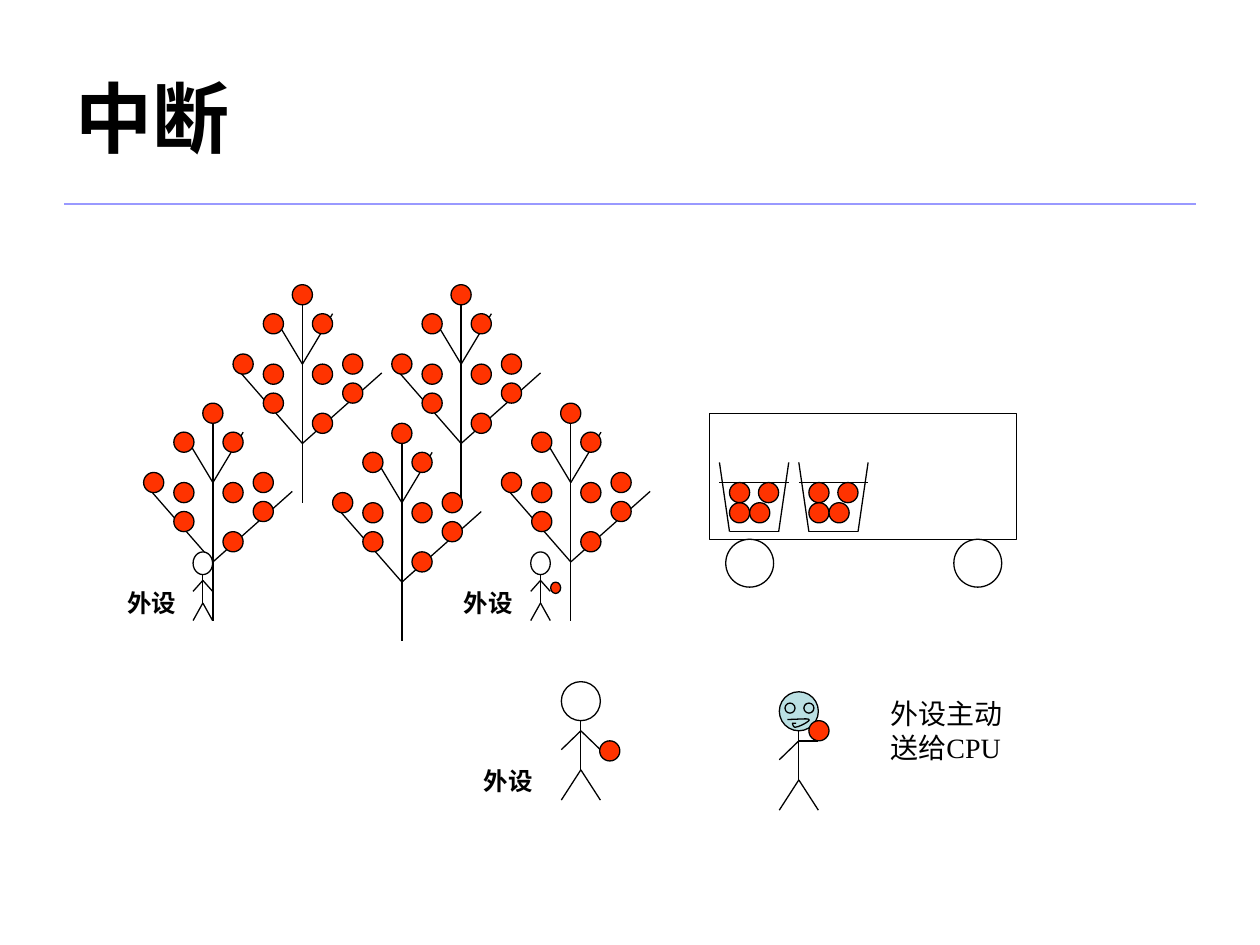
from itertools import pairwise

from lxml.etree import SubElement
from pptx import Presentation
from pptx.dml.color import RGBColor
from pptx.enum.shapes import MSO_CONNECTOR, MSO_SHAPE
from pptx.enum.text import MSO_ANCHOR, MSO_AUTO_SIZE, PP_ALIGN
from pptx.oxml.ns import qn
from pptx.util import Inches, Pt

THEME = {
    "ink": RGBColor(0, 0, 0),
    "rule": RGBColor(0x99, 0x99, 0xFF),
    "fruit": RGBColor(0xFF, 0x33, 0x00),
    "face": RGBColor(0xBB, 0xE0, 0xE3),
    "paper": RGBColor(0xFF, 0xFF, 0xFF),
    "stroke": Pt(0.75),
    "title": {"size": Pt(44), "name": "Arial", "bold": True},
    "label": {"size": Pt(14), "name": "Arial", "bold": True},
    "note": {"size": Pt(16), "name": "Times New Roman", "bold": False},
}

TITLE = "中断"
DEVICE = "外设"
DEVICE_LABELS = [(0.91, 4.62), (3.58, 4.62), (3.74, 6.03)]
NOTE = "外设主动送给CPU"
NOTE_BOX = (6.97, 5.48, 1.1, 0.9)

# Tree parts are offsets from the top of the trunk.
TREE_TOPS = [(2.4, 2.26), (3.66, 2.26), (1.69, 3.2), (3.19, 3.36), (4.53, 3.2)]
BRANCHES = [
    [(0, 0), (0, 1.73)],
    [(-0.24, 0.23), (0, 0.63), (0.24, 0.23)],
    [(-0.55, 0.63), (0, 1.26), (0.63, 0.7)],
]
TREE_FRUITS = [(0.08, 1.02), (-0.31, 0.86), (0.32, 0.78), (0.08, 0.23), (-0.31, 0.23),
               (0.32, 0.55), (-0.08, 0), (0.08, 0.63), (-0.31, 0.63), (-0.55, 0.55)]
FRUIT = 0.16

# Figure parts are offsets from the neck, at full scale.
HEAD = 0.31
SHOULDER, HIP, FOOT = 0.08, 0.39, 0.63
HAND_DOWN, HAND_LEVEL = 0.23, 0.08
SMALL = (0.5, 0.58)
DEVICES = [((4.61, 5.72), (1, 1)), ((1.61, 4.56), SMALL), ((4.29, 4.56), SMALL)]
CPU_NECK = (6.34, 5.8)
CARRIED_FRUITS = [(4.76, 5.88, FRUIT, FRUIT), (4.37, 4.62, 0.08, 0.09),
                  (6.42, 5.72, FRUIT, FRUIT)]
EYES = [(6.23, 5.58, 0.08, 0.08), (6.38, 5.58, 0.08, 0.08)]
SMILE = [(6.25, 5.71), (6.33, 5.71), (6.41, 5.7), (6.42, 5.71), (6.44, 5.72),
         (6.34, 5.77), (6.32, 5.77), (6.3, 5.78), (6.29, 5.75), (6.29, 5.74),
         (6.29, 5.74), (6.3, 5.74), (6.32, 5.74)]

CART = (5.63, 3.28, 2.44, 1)
WHEELS = [(5.76, 4.28, 0.38, 0.38), (7.57, 4.28, 0.38, 0.38)]
# Bucket parts are offsets from the top left of the rim.
BUCKETS = [(5.71, 3.67), (6.34, 3.67)]
BUCKET_LINES = [
    [(0, 0), (0.08, 0.55), (0.47, 0.55), (0.55, 0)],
    [(0, 0.16), (0.55, 0.16)],
]
BUCKET_FRUITS = [(0.08, 0.32), (0.24, 0.32), (0.08, 0.16), (0.31, 0.16)]


def add_lines(shapes, points, origin=(0, 0), scale=(1, 1), color=THEME["ink"]):
    """Join successive points, given relative to the origin."""
    placed = [[Inches(o + p * s) for o, p, s in zip(origin, point, scale)]
              for point in points]
    for start, end in pairwise(placed):
        line = shapes.add_connector(MSO_CONNECTOR.STRAIGHT, *start, *end)
        line.line.color.rgb = color
        line.line.width = THEME["stroke"]
        SubElement(line._element.spPr, qn("a:effectLst"))


def outline(shape, fill=None):
    shape.shadow.inherit = False
    shape.line.color.rgb = THEME["ink"]
    shape.line.width = THEME["stroke"]
    if fill is None:
        shape.fill.background()
    else:
        shape.fill.solid()
        shape.fill.fore_color.rgb = fill


def add_oval(shapes, box, fill=None):
    outline(shapes.add_shape(MSO_SHAPE.OVAL, *map(Inches, box)), fill)


def add_fruits(shapes, origin, offsets):
    for dx, dy in offsets:
        add_oval(shapes, (origin[0] + dx, origin[1] + dy, FRUIT, FRUIT), THEME["fruit"])


def add_tree(slide, top):
    tree = slide.shapes.add_group_shape().shapes
    for branch in BRANCHES:
        add_lines(tree, branch, top)
    add_fruits(tree, top, TREE_FRUITS)


def add_figure(slide, neck, scale=(1, 1), face=THEME["paper"], right_hand=HAND_DOWN):
    figure = slide.shapes.add_group_shape().shapes
    width, height = (HEAD * s for s in scale)
    add_oval(figure, (neck[0] - width / 2, neck[1] - height, width, height), face)
    half = HEAD / 2
    for limb in (
        [(0, 0), (0, HIP)],
        [(-half, HAND_DOWN), (0, SHOULDER), (half, right_hand)],
        [(-half, FOOT), (0, HIP), (half, FOOT)],
    ):
        add_lines(figure, limb, neck, scale)


def add_cart(slide):
    cart = slide.shapes.add_group_shape().shapes
    outline(cart.add_shape(MSO_SHAPE.RECTANGLE, *map(Inches, CART)))
    for wheel in WHEELS:
        add_oval(cart, wheel)
    for rim in BUCKETS:
        for side in BUCKET_LINES:
            add_lines(cart, side, rim)
        add_fruits(cart, rim, BUCKET_FRUITS)


def curve_points(controls, steps=8):
    """Sample a chain of cubic Bézier curves."""
    points = [controls[0]]
    for first in range(0, len(controls) - 1, 3):
        for step in range(1, steps + 1):
            t = step / steps
            weights = ((1 - t) ** 3, 3 * t * (1 - t) ** 2, 3 * t * t * (1 - t), t ** 3)
            curve = controls[first:first + 4]
            points.append(tuple(sum(w * p[axis] for w, p in zip(weights, curve))
                                for axis in (0, 1)))
    return points


def add_smile(slide):
    start, *rest = [tuple(map(Inches, point)) for point in curve_points(SMILE)]
    builder = slide.shapes.build_freeform(*start)
    builder.add_line_segments(rest, close=False)
    outline(builder.convert_to_shape())


def write(frame, text, style):
    frame.text = text
    paragraph = frame.paragraphs[0]
    paragraph.alignment = PP_ALIGN.LEFT
    for attribute, value in THEME[style].items():
        setattr(paragraph.font, attribute, value)
    paragraph.font.color.rgb = THEME["ink"]


def add_text(slide, box, text, style, wrap):
    frame = slide.shapes.add_textbox(*map(Inches, box)).text_frame
    frame.word_wrap = wrap
    frame.auto_size = MSO_AUTO_SIZE.SHAPE_TO_FIT_TEXT
    write(frame, text, style)


def main():
    deck = Presentation()
    deck.slide_width, deck.slide_height = Inches(10), Inches(7.5)
    slide = deck.slides.add_slide(deck.slide_layouts[5])

    title = slide.shapes.title
    title.left, title.top, title.width, title.height = map(Inches, (0.5, 0.3, 9, 1.25))
    title.text_frame.vertical_anchor = MSO_ANCHOR.MIDDLE
    write(title.text_frame, TITLE, "title")
    add_lines(slide.shapes, [(0.51, 1.62), (9.49, 1.62)], color=THEME["rule"])

    add_cart(slide)
    for top in TREE_TOPS:
        add_tree(slide, top)
    for neck, scale in DEVICES:
        add_figure(slide, neck, scale)
    add_figure(slide, CPU_NECK, face=THEME["face"], right_hand=HAND_LEVEL)
    for fruit in CARRIED_FRUITS:
        add_oval(slide.shapes, fruit, THEME["fruit"])
    add_smile(slide)
    for eye in EYES:
        add_oval(slide.shapes, eye, THEME["face"])

    for corner in DEVICE_LABELS:
        add_text(slide, (*corner, 0.59, 0.34), DEVICE, "label", wrap=False)
    add_text(slide, NOTE_BOX, NOTE, "note", wrap=True)
    deck.save("out.pptx")


if __name__ == "__main__":
    main()
